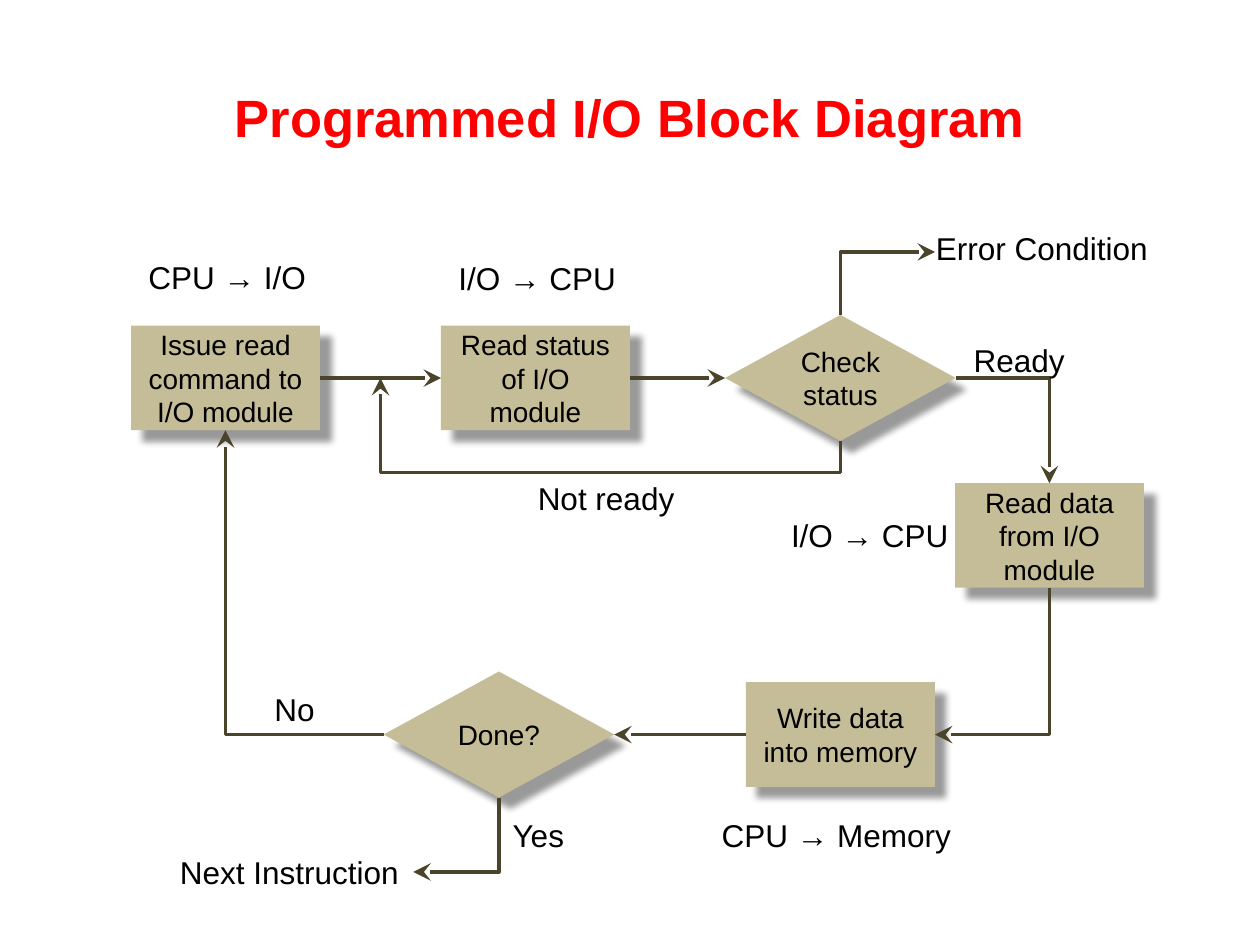
from lxml import etree
from pptx import Presentation
from pptx.dml.color import RGBColor
from pptx.enum.shapes import MSO_CONNECTOR, MSO_SHAPE
from pptx.enum.text import MSO_ANCHOR, MSO_AUTO_SIZE, PP_ALIGN
from pptx.oxml.ns import qn
from pptx.util import Inches, Pt

RECT, DIAMOND = MSO_SHAPE.RECTANGLE, MSO_SHAPE.DIAMOND
STRAIGHT, ELBOW = MSO_CONNECTOR.STRAIGHT, MSO_CONNECTOR.ELBOW
MIDDLE, CENTER, LEFT = MSO_ANCHOR.MIDDLE, PP_ALIGN.CENTER, PP_ALIGN.LEFT
GROW = MSO_AUTO_SIZE.SHAPE_TO_FIT_TEXT
TOP, WEST, BOTTOM, EAST = range(4)
SIZES = {RECT: (1.5, 0.83), DIAMOND: (1.83, 1)}


def color(code):
    """Turn a hex string into a colour."""
    return RGBColor.from_string(code)


def child(parent, tag, **attrs):
    """Append a drawing element with the given attributes."""
    node = etree.SubElement(parent, qn(tag))
    for key, value in attrs.items():
        node.set(key, str(value))
    return node


def write(frame, text, size, align, ink="000000", bold=False):
    """Write one run into the first paragraph of a frame."""
    para = frame.paragraphs[0]
    para.alignment = align
    run = para.add_run()
    run.text = text
    font = run.font
    font.name, font.size, font.bold = "Arial", Pt(size), bold
    font.color.rgb = color(ink)


def add_title(slide, text, box):
    """Place and format the title."""
    title = slide.shapes.title
    title.left, title.top, title.width, title.height = map(Inches, box)
    title.text_frame.vertical_anchor = MIDDLE
    write(title.text_frame, text, 30, CENTER, "FF0000", True)


def add_step(slide, kind, mid_x, mid_y, text):
    """Draw a shadowed step centred on a point."""
    wide, high = SIZES[kind]
    step = slide.shapes.add_shape(
        kind, Inches(mid_x - wide / 2), Inches(mid_y - high / 2), Inches(wide), Inches(high))
    step.fill.solid()
    step.fill.fore_color.rgb = color("C4BD97")
    step.line.fill.background()
    step.shadow.inherit = False
    effects = step._element.spPr.find(qn("a:effectLst"))
    shade = child(effects, "a:outerShdw", blurRad=Pt(4), dist=Pt(9),
                  dir=2700000, algn="tl", rotWithShape=0)
    child(child(shade, "a:srgbClr", val="000000"), "a:alpha", val=40000)
    step.text_frame.word_wrap = True
    step.text_frame.vertical_anchor = MIDDLE
    write(step.text_frame, text, 16, CENTER)
    return step


def bend(link, start, end, upright, adjust):
    """Shape an elbow that leaves the start upright or level."""
    (x1, y1), (x2, y2) = start, end
    wide, high = abs(x2 - x1), abs(y2 - y1)
    flips = (x2 < x1, y2 < y1)
    if upright:
        wide, high = high, wide
        flips = (y2 < y1, x2 > x1)
    link.left, link.top = int((x1 + x2 - wide) / 2), int((y1 + y2 - high) / 2)
    link.width, link.height = wide, high
    props = link._element.spPr
    frame = props.find(qn("a:xfrm"))
    frame.set("rot", "5400000" if upright else "0")
    for key, flip in zip(("flipH", "flipV"), flips):
        frame.set(key, str(int(flip)))
    form = props.find(qn("a:prstGeom"))
    form.set("prst", "bentConnector4" if adjust else "bentConnector2")
    guides = form.find(qn("a:avLst"))
    for spot, value in enumerate(adjust, 1):
        child(guides, "a:gd", name=f"adj{spot}", fmla=f"val {value}")


def add_link(slide, step, side, goal, entry=None, bent=True, adjust=()):
    """Join a step side to another step side or to a point."""
    link = slide.shapes.add_connector(ELBOW if bent else STRAIGHT, 0, 0, 0, 0)
    link.begin_connect(step, side)
    if entry is None:
        link.end_x, link.end_y = map(Inches, goal)
    else:
        link.end_connect(goal, entry)
    if bent:
        start, end = (link.begin_x, link.begin_y), (link.end_x, link.end_y)
        bend(link, start, end, side in (TOP, BOTTOM), adjust)
    link.line.width = Pt(2)
    link.line.color.rgb = color("4A452A")
    child(link.line._get_or_add_ln(), "a:tailEnd", type="stealth", w="lg", len="lg")
    child(link._element.spPr, "a:effectLst")


def add_label(slide, left, top, wide, text):
    """Add a one-line label."""
    label = slide.shapes.add_textbox(Inches(left), Inches(top), Inches(wide), Inches(0.4))
    label.text_frame.word_wrap = False
    label.text_frame.auto_size = GROW
    write(label.text_frame, text, 18, LEFT)


def add_flow(slide):
    """Draw the steps and the links between them."""
    issue = add_step(slide, RECT, 1.79, 3, "Issue read command to I/O module")
    status = add_step(slide, RECT, 4.25, 3, "Read status of I/O module")
    check = add_step(slide, DIAMOND, 6.67, 3, "Check status")
    fetch = add_step(slide, RECT, 8.33, 4.25, "Read data from I/O module")
    store = add_step(slide, RECT, 6.67, 5.83, "Write data into memory")
    done = add_step(slide, DIAMOND, 3.96, 5.83, "Done?")
    add_link(slide, issue, EAST, status, WEST, bent=False)
    add_link(slide, status, EAST, check, WEST, bent=False)
    add_link(slide, check, BOTTOM, (3.02, 3), adjust=(-50000, 100000))
    add_link(slide, check, EAST, fetch, TOP)
    add_link(slide, fetch, BOTTOM, store, EAST)
    add_link(slide, store, WEST, done, EAST, bent=False)
    add_link(slide, done, WEST, issue, BOTTOM)
    add_link(slide, done, BOTTOM, (3.28, 6.92))
    add_link(slide, check, TOP, (7.42, 2))


def add_labels(slide):
    """Add the labels around the flow."""
    for label in (
        (1.08, 2, 1.46, "CPU → I/O"),
        (3.54, 2.01, 1.46, "I/O → CPU"),
        (7.33, 1.77, 1.9, "Error Condition"),
        (6.18, 4.05, 1.46, "I/O → CPU"),
        (5.63, 6.43, 2.03, "CPU → Memory"),
        (7.63, 2.66, 0.93, "Ready"),
        (4.17, 3.75, 1.3, "Not ready"),
        (2.08, 5.43, 0.52, "No"),
        (3.97, 6.43, 0.61, "Yes"),
        (1.33, 6.72, 1.96, "Next Instruction"),
    ):
        add_label(slide, *label)


def main():
    """Build and save the slide."""
    deck = Presentation()
    deck.slide_width, deck.slide_height = Inches(10), Inches(7.5)
    slide = deck.slides.add_slide(deck.slide_layouts[5])
    add_title(slide, "Programmed I/O Block Diagram", (0.5, 0.3, 9, 1.25))
    add_flow(slide)
    add_labels(slide)
    deck.save("out.pptx")


main()
